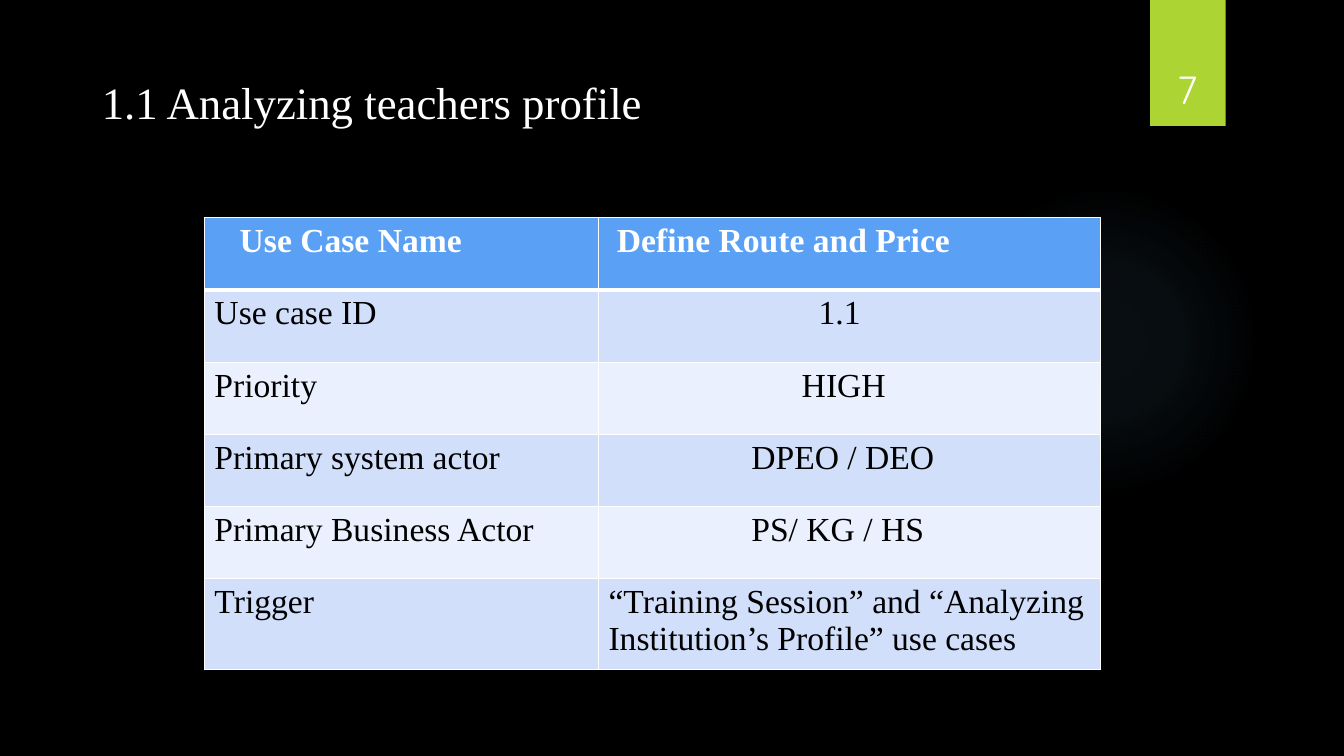
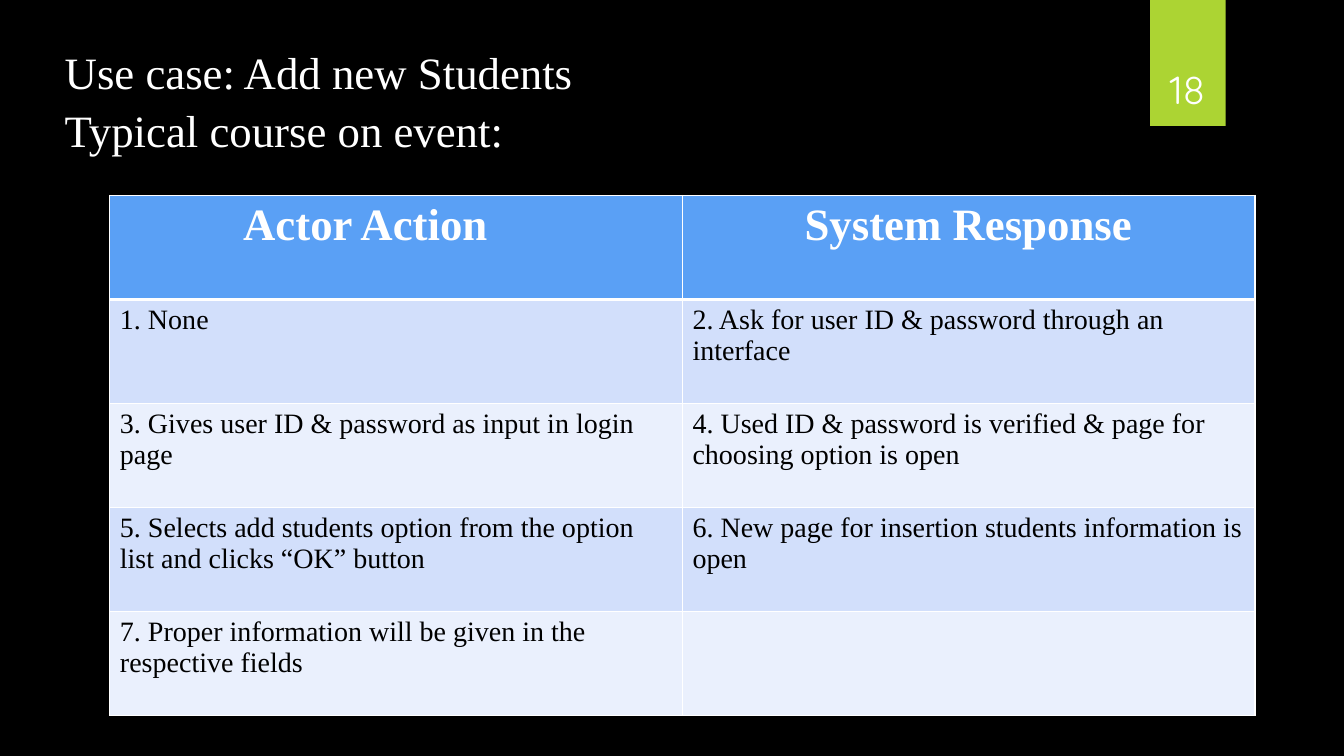
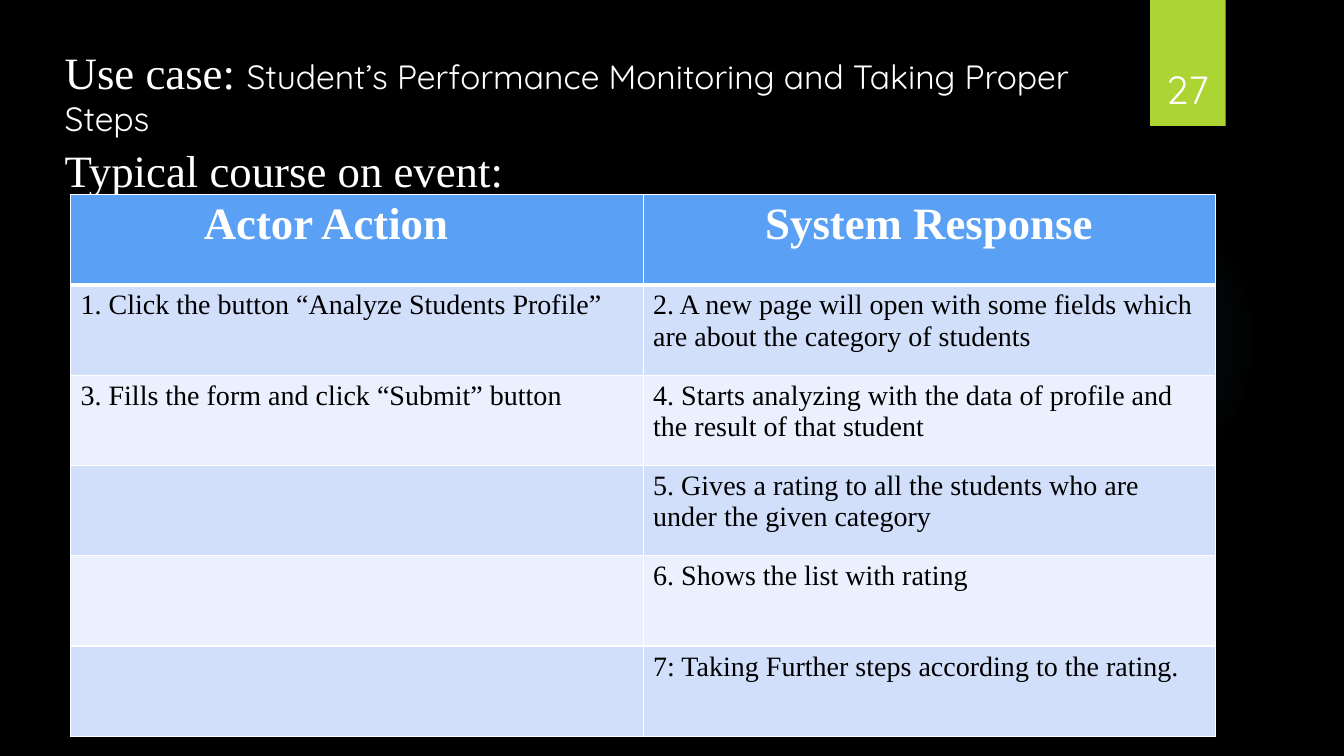
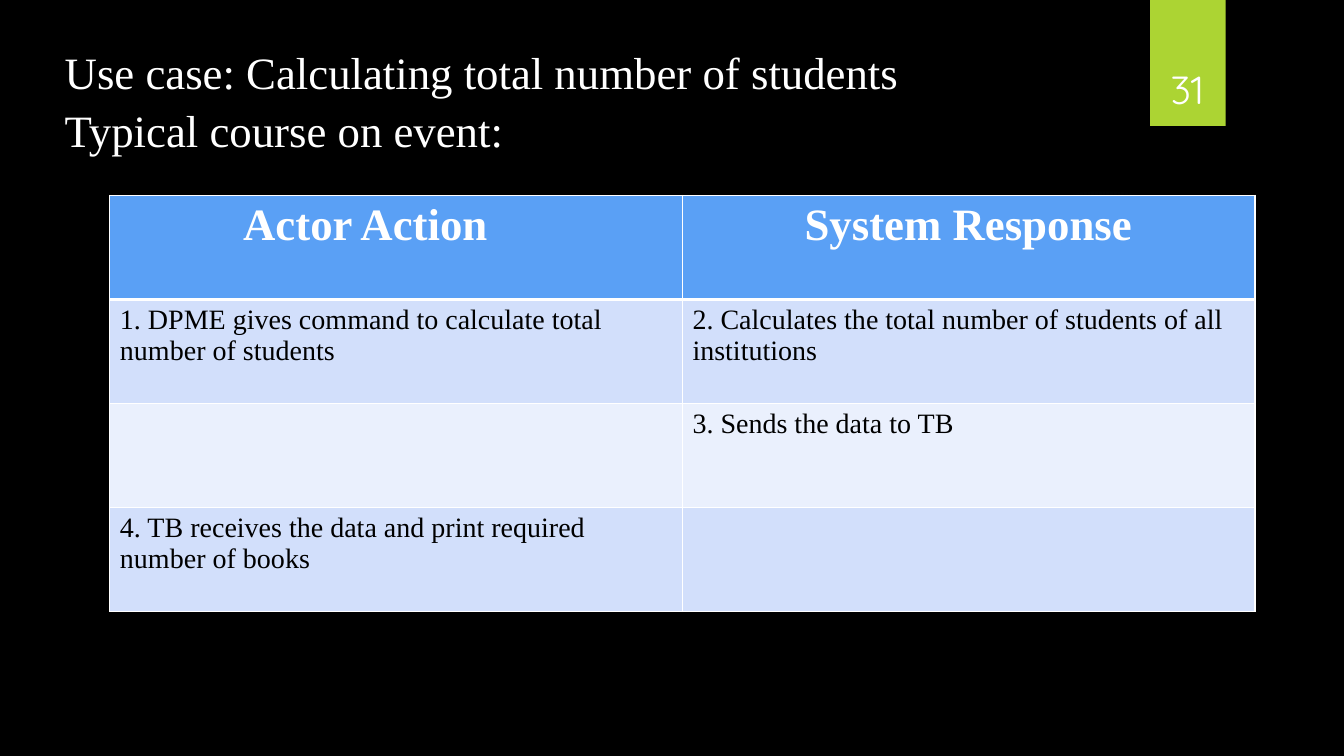
from dataclasses import dataclass

from lxml.etree import SubElement
from pptx import Presentation
from pptx.dml.color import RGBColor
from pptx.enum.shapes import MSO_SHAPE
from pptx.enum.text import MSO_ANCHOR, MSO_AUTO_SIZE, PP_ALIGN
from pptx.oxml import parse_xml
from pptx.oxml.ns import nsdecls, qn
from pptx.util import Pt


@dataclass(frozen=True)
class Theme:
    background: str = "000000"
    light: str = "FFFFFF"
    dark: str = "000000"
    band: str = "ACD433"
    glow: str = "7AC4F0"
    header: str = "5AA0F5"
    stripes: tuple = ("D2DFFB", "EAF0FD")
    serif: str = "Times New Roman"
    sans: str = "Quicksand"
    title_size: int = 32
    subtitle_size: int = 24
    number_size: int = 28
    border: int = 1
    header_border: int = 3


THEME = Theme()

# Content: cells are plain text or (text, indent)
EVENT_HEADER = (("Actor Action", 88), ("System Response", 80))
EVENT_TITLE = "Typical course on event:"
EVENT_COLUMNS = (409, 409)

SLIDES = [
    {
        "number": "7",
        "title": ["1.1 Analyzing teachers profile"],
        "title_box": (65.5, 49.5, 695.5, 46),
        "table_at": (146, 155.5),
        "columns": (281.5, 358.5),
        "row_heights": [51.6] * 5 + [65],
        "header_size": 24,
        "body_size": 24,
        "rows": [
            (("Use Case Name", 18), ("Define Route and Price", 6)),
            ("Use case ID", ("1.1", 150)),
            ("Priority", ("HIGH", 138)),
            ("Primary system actor", ("DPEO / DEO", 102)),
            ("Primary Business Actor", ("PS/ KG / HS", 102)),
            ("Trigger", "“Training Session” and “Analyzing Institution’s Profile” use cases"),
        ],
    },
    {
        "number": "18",
        "title": ["Use case: Add new Students", EVENT_TITLE],
        "title_box": (39, 28, 741.5, 85),
        "table_at": (78.5, 139.7),
        "columns": EVENT_COLUMNS,
        "row_heights": [74.3] * 5,
        "header_size": 32,
        "body_size": 20,
        "rows": [
            EVENT_HEADER,
            ("1. None", "2. Ask for user ID & password through an interface"),
            ("3. Gives user ID & password as input in login page",
             "4. Used ID & password is verified & page for choosing option is open"),
            ("5. Selects add students option from the option list and clicks “OK” button",
             "6. New page for insertion students information is open"),
            ("7. Proper information will be given in the respective fields", ""),
        ],
    },
    {
        "number": "27",
        "title": [
            ["Use case: ",
             ("Student’s Performance Monitoring and Taking Proper Steps",
              {"font": THEME.sans, "size": THEME.subtitle_size})],
            EVENT_TITLE,
        ],
        "title_box": (39, 28, 741.5, 114),
        "table_at": (50.4, 139),
        "columns": EVENT_COLUMNS,
        "row_heights": [64.5] * 6,
        "header_size": 32,
        "body_size": 20,
        "rows": [
            EVENT_HEADER,
            ("1. Click the button “Analyze Students Profile”",
             "2. A new page will open with some fields which are about the category of students"),
            ("3. Fills the form and click “Submit” button",
             "4. Starts analyzing with the data of profile and the result of that student"),
            ("", "5. Gives a rating to all the students who are under the given category"),
            ("", "6. Shows the list with rating"),
            ("", "7: Taking Further steps according to the rating."),
        ],
    },
    {
        "number": "31",
        "title": ["Use case: Calculating total number of students", EVENT_TITLE],
        "title_box": (39, 28, 741.5, 85),
        "table_at": (78.5, 139.7),
        "columns": EVENT_COLUMNS,
        "row_heights": [74.3] * 4,
        "header_size": 32,
        "body_size": 20,
        "rows": [
            EVENT_HEADER,
            ("1. DPME gives command to calculate total number of students",
             "2. Calculates the total number of students of all institutions"),
            ("", "3. Sends the data to TB"),
            ("4. TB receives the data and print required number of books", ""),
        ],
    },
]


def color(value):
    return RGBColor.from_string(value)


def points(values):
    return [Pt(value) for value in values]


def write(frame, paragraphs, *, size, font=THEME.serif, ink=THEME.light, bold=False,
          align=PP_ALIGN.LEFT, indent=0, gap=0):
    """Fill a text frame; a paragraph is a string or a list of runs."""
    for index, content in enumerate(paragraphs):
        paragraph = frame.add_paragraph() if index else frame.paragraphs[0]
        paragraph.alignment = align
        paragraph.space_before = Pt(gap if index else 0)
        if indent:
            paragraph._p.get_or_add_pPr().set("marL", str(Pt(indent)))
        for part in [content] if isinstance(content, str) else content:
            text, changes = (part, {}) if isinstance(part, str) else part
            run = paragraph.add_run()
            run.text = text
            run.font.name = changes.get("font", font)
            run.font.size = Pt(changes.get("size", size))
            run.font.bold = bold
            run.font.color.rgb = color(ink)


def add_plain_shape(slide, kind, box, fill):
    shape = slide.shapes.add_shape(kind, *points(box))
    shape.shadow.inherit = False
    shape.fill.solid()
    shape.fill.fore_color.rgb = color(fill)
    shape.line.fill.background()
    return shape


def decorate_layout(layout, slide):
    """Build the glow and the green band, then move them into the layout."""
    for placeholder in list(layout.placeholders)[1:]:
        placeholder.element.getparent().remove(placeholder.element)

    glow = add_plain_shape(slide, MSO_SHAPE.OVAL, (677.5, 131.8, 221.8, 221.8), THEME.glow)
    stops = "".join(
        f'<a:gs pos="{position * 1000}"><a:srgbClr val="{THEME.glow}">'
        f'<a:alpha val="{alpha * 1000}"/></a:srgbClr></a:gs>'
        for position, alpha in ((0, 7), (36, 6), (69, 0), (100, 0)))
    gradient = parse_xml(
        f'<a:gradFill {nsdecls("a")} rotWithShape="1"><a:gsLst>{stops}</a:gsLst>'
        '<a:path path="circle"><a:fillToRect l="50000" t="50000" r="50000" b="50000"/>'
        '</a:path></a:gradFill>')
    solid = glow.element.spPr.find(qn("a:solidFill"))
    solid.getparent().replace(solid, gradient)

    band = add_plain_shape(slide, MSO_SHAPE.RECTANGLE, (821.5, 0, 54, 90), THEME.band)
    effects = band.element.spPr.find(qn("a:effectLst"))
    effects.append(parse_xml(
        f'<a:outerShdw {nsdecls("a")} blurRad="{Pt(3)}" dist="{Pt(2)}" dir="5400000" '
        f'rotWithShape="0"><a:srgbClr val="{THEME.dark}"><a:alpha val="45000"/>'
        '</a:srgbClr></a:outerShdw>'))

    tree = layout.element.cSld.spTree
    for index, shape in enumerate((glow, band)):
        tree.insert(2 + index, shape.element)


def set_borders(cell, top, bottom):
    properties = cell._tc.get_or_add_tcPr()
    widths = (("L", THEME.border), ("R", THEME.border), ("T", top), ("B", bottom))
    for index, (side, width) in enumerate(widths):
        line = SubElement(properties, qn(f"a:ln{side}"), w=str(Pt(width)))
        fill = SubElement(line, qn("a:solidFill"))
        SubElement(fill, qn("a:srgbClr"), val=THEME.light)
        properties.insert(index, line)


def add_use_case_table(slide, content):
    rows, columns, heights = content["rows"], content["columns"], content["row_heights"]
    box = (*content["table_at"], sum(columns), sum(heights))
    table = slide.shapes.add_table(len(rows), len(columns), *points(box)).table
    table.horz_banding = False
    for column, width in zip(table.columns, columns):
        column.width = Pt(width)
    for row_index, (row, height) in enumerate(zip(rows, heights)):
        table.rows[row_index].height = Pt(height)
        is_header = row_index == 0
        for column_index, entry in enumerate(row):
            text, indent = (entry, 0) if isinstance(entry, str) else entry
            cell = table.cell(row_index, column_index)
            cell.fill.solid()
            cell.fill.fore_color.rgb = color(
                THEME.header if is_header else THEME.stripes[(row_index - 1) % 2])
            set_borders(cell,
                        top=THEME.header_border if row_index == 1 else THEME.border,
                        bottom=THEME.header_border if is_header else THEME.border)
            if text:
                write(cell.text_frame, [text], indent=indent, bold=is_header,
                      size=content["header_size" if is_header else "body_size"],
                      ink=THEME.light if is_header else THEME.dark)


def add_title(slide, content):
    title = slide.shapes.title
    title.left, title.top, title.width, title.height = points(content["title_box"])
    frame = title.text_frame
    frame.word_wrap = True
    frame.auto_size = MSO_AUTO_SIZE.NONE
    frame.vertical_anchor = MSO_ANCHOR.TOP
    write(frame, content["title"], size=THEME.title_size, gap=3)


def add_number(slide, number):
    frame = slide.shapes.add_textbox(*points((815, 23, 66.2, 60.5))).text_frame
    frame.word_wrap = True
    frame.vertical_anchor = MSO_ANCHOR.BOTTOM
    write(frame, [number], size=THEME.number_size, font=THEME.sans, align=PP_ALIGN.CENTER)


def main():
    presentation = Presentation()
    presentation.slide_width, presentation.slide_height = Pt(960), Pt(540)
    background = presentation.slide_master.background.fill
    background.solid()
    background.fore_color.rgb = color(THEME.background)
    layout = presentation.slide_layouts[5]

    for index, content in enumerate(SLIDES):
        slide = presentation.slides.add_slide(layout)
        if index == 0:
            decorate_layout(layout, slide)
        add_title(slide, content)
        add_use_case_table(slide, content)
        add_number(slide, content["number"])

    presentation.save("out.pptx")


if __name__ == "__main__":
    main()
